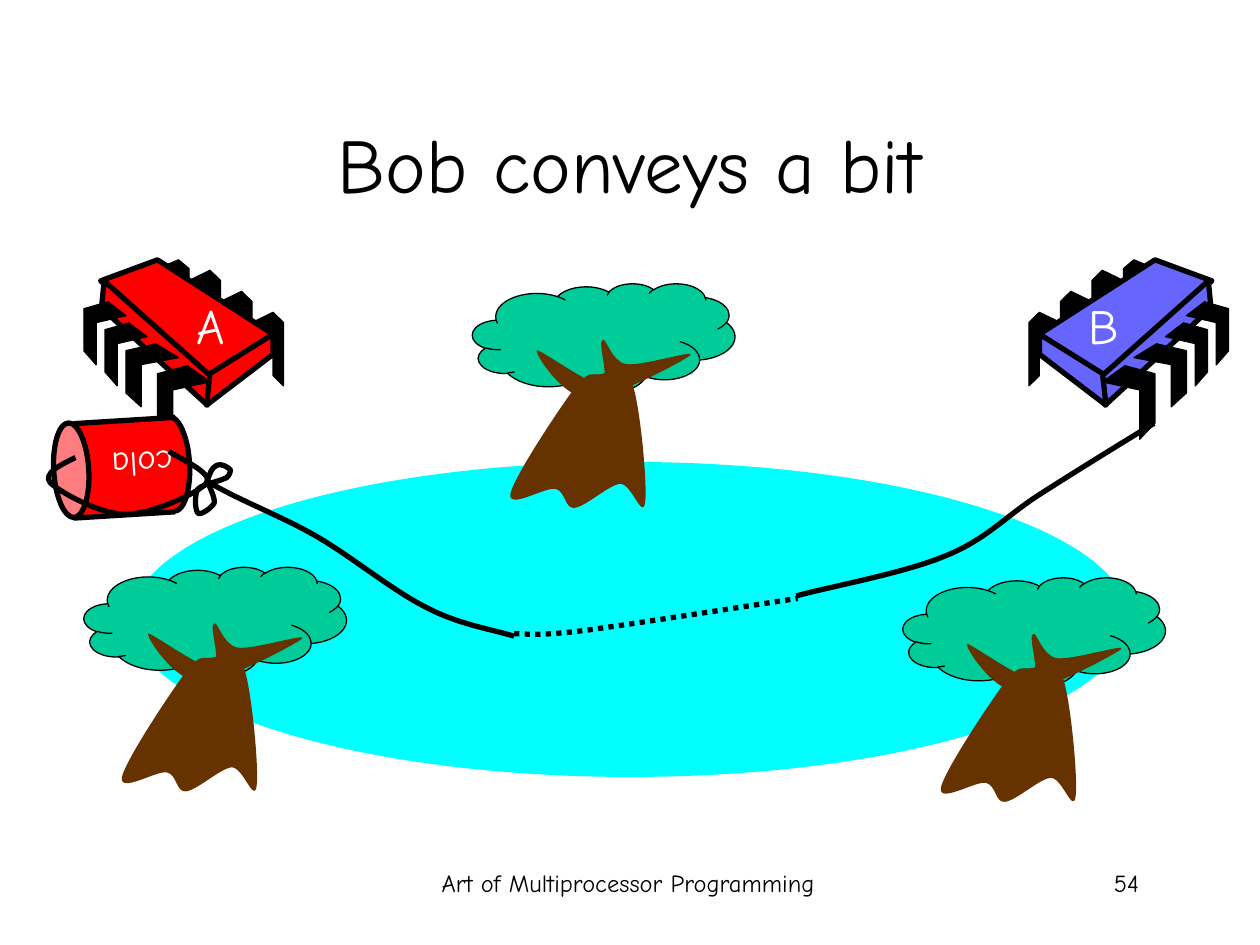
from lxml.etree import SubElement
from pptx import Presentation
from pptx.dml.color import RGBColor
from pptx.enum.dml import MSO_LINE
from pptx.enum.shapes import MSO_CONNECTOR, MSO_SHAPE
from pptx.enum.text import MSO_ANCHOR, MSO_AUTO_SIZE, PP_ALIGN
from pptx.oxml.ns import qn
from pptx.util import Pt

BLACK = RGBColor(0x00, 0x00, 0x00)
WHITE = RGBColor(0xFF, 0xFF, 0xFF)
RED = RGBColor(0xFF, 0x00, 0x00)
PINK = RGBColor(0xFF, 0x7C, 0x80)
BLUE = RGBColor(0x66, 0x66, 0xFF)
WATER = RGBColor(0x00, 0xFF, 0xFF)
LEAF = RGBColor(0x00, 0xCC, 0x99)
BARK = RGBColor(0x66, 0x33, 0x00)

FONT = "Comic Neue"
THIN, THICK = 0.75, 3

# Chip outlines: legs as fractions of their box, body faces in points
CHIP_W = 114
BACK_LEG = [(0, 0.14), (0.67, 0), (1, 0.14), (1, 1), (0.67, 0.86), (0.67, 0.29), (0, 0.43)]
BACK_LEG_BOXES = [(96, 30, 18, 42), (78, 18, 18, 42), (60, 6, 18, 42), (42, 0, 18, 36)]
FRONT_LEG = [(0.57, 0), (1, 0.22), (0.29, 0.33), (0.29, 1), (0, 0.78), (0, 0.11)]
FRONT_LEG_BOXES = [(42, 60.5, 30, 42), (24, 48, 30, 36), (12, 36, 24, 36), (0, 24, 24, 36)]
FACES = [
    [(42, 0), (108, 42.5), (70.5, 67), (9.5, 12)],
    [(11.5, 12), (72, 66), (70.5, 83), (10, 27.5)],
    [(108, 42.5), (108, 54), (70, 83), (72, 65)],
]

# Bezier chains: a start point, then three points for each curve
TRUNK = [
    (58.3, 59.8), (67, 49), (67.7, 52.6), (73.4, 51.8), (78.5, 51.1), (87.1, 45.4),
    (91.4, 57.6), (95.8, 69.8), (100.1, 115.9), (98.6, 125.3), (97.2, 135.4), (90.7, 113.8),
    (84.2, 114.5), (77.8, 115.2), (64.8, 127.4), (58.3, 128.2), (52.6, 128.9), (53.3, 118.8),
    (47.5, 117.4), (41.8, 115.9), (20.2, 129.6), (21.6, 120.2), (23.8, 110.2), (49.7, 71.3),
    (58.3, 59.8)]
BRANCHES = [
    (36.7, 38.2), (35.3, 39.6), (51.1, 64.8), (65.5, 65.5), (80.6, 66.2), (121, 43.9),
    (124.6, 41), (128.2, 37.4), (96.5, 47.5), (87.8, 46.1), (79.2, 44.6), (76.3, 30.2),
    (74.2, 32.4), (71.3, 33.8), (79.2, 56.2), (73.4, 57.6), (67, 58.3), (37.4, 36.7),
    (36.7, 38.2)]
BOW = [
    (94.3, 36.7), (94.3, 33.1), (97.2, 28.1), (99.4, 27.4), (101.5, 25.9), (106.6, 28.8),
    (107.3, 30.2), (106.6, 33.1), (105.8, 34.6), (103, 35.3), (100.1, 36.7), (91.4, 38.2),
    (88.6, 41), (86.4, 44.6), (87.1, 53.3), (88.6, 54.7), (90, 56.2), (96.5, 51.8),
    (97.9, 49), (98.6, 46.1), (95, 39.6), (94.3, 36.7)]
LOOP = [
    (18.7, 23), (9.4, 27.4), (0, 32.4), (4.3, 37.4), (9.4, 42.5), (32.4, 55.4), (47.5, 55.4),
    (61.9, 55.4), (89.3, 43.2), (93.6, 37.4), (97.9, 31.7), (75.6, 22.3), (72, 19.4)]
NEAR_STRING = [
    (0, 34), (19.7, 45.3), (39.8, 52.5), (60, 64), (80.2, 75.5), (104.6, 95.7),
    (123.4, 105), (142, 115), (163, 118), (173.8, 121.6)]
FAR_STRING = [
    (539.5, 0), (528.7, 6.4), (494.9, 27.3), (474.7, 40.2), (455.3, 52.5), (443.8, 66.2),
    (420.7, 75.5), (397, 85.6), (353, 93.5), (335, 98.6)]
SUNK_STRING = [
    (173.8, 120.2), (181, 120.2), (188.9, 121.6), (216.2, 118), (242.9, 114.4),
    (316.3, 102.9), (335.8, 100)]


def style(sp, fill, width):
    """Give a shape a flat fill and a black outline, either of which may be None."""
    sp.shadow.inherit = False
    if fill is None:
        sp.fill.background()
    else:
        sp.fill.solid()
        sp.fill.fore_color.rgb = fill
    if width is None:
        sp.line.fill.background()
    else:
        sp.line.color.rgb = BLACK
        sp.line.width = Pt(width)
    return sp


def add_preset(s, kind, box, fill, width=None, rotation=0):
    sp = s.shapes.add_shape(kind, *map(Pt, box))
    sp.rotation = rotation
    return style(sp, fill, width)


def add_outline(s, left, top, points, fill=None, width=None, close=True):
    pts = [(Pt(left + x), Pt(top + y)) for x, y in points]
    builder = s.shapes.build_freeform(*pts[0], scale=1.0)
    builder.add_line_segments(pts[1:], close=close)
    return style(builder.convert_to_shape(), fill, width)


def add_curve(s, left, top, chain, fill=None, width=None, close=True):
    """Draw a Bezier chain: each three line segments become one cubic curve."""
    sp = add_outline(s, left, top, chain, fill, width, close)
    segments = list(sp._element.iter(qn("a:lnTo")))[:len(chain) - 1]
    for i in range(0, len(segments), 3):
        first, *others = segments[i:i + 3]
        first.tag = qn("a:cubicBezTo")
        for segment in others:
            first.append(segment[0])
            segment.getparent().remove(segment)
    return sp


def add_text(s, box, text, size, color=BLACK, align=PP_ALIGN.RIGHT,
             anchor=MSO_ANCHOR.TOP, wrap=True, rotation=0):
    sp = s.shapes.add_textbox(*map(Pt, box))
    sp.rotation = rotation
    tf = sp.text_frame
    tf.word_wrap = wrap
    tf.auto_size = MSO_AUTO_SIZE.NONE if wrap else MSO_AUTO_SIZE.SHAPE_TO_FIT_TEXT
    tf.vertical_anchor = anchor
    p = tf.paragraphs[0]
    p.alignment = align
    r = p.add_run()
    r.text = text
    for name, value in {"name": FONT, "size": Pt(size)}.items():
        setattr(r.font, name, value)
    r.font.color.rgb = color


def add_chip(s, left, top, letter, color, mirrored=False):
    def place(points):
        return [(CHIP_W - x if mirrored else x, y) for x, y in points]

    def add_legs(outline, boxes):
        for x, y, w, h in boxes:
            leg = [(x + fx * w, y + fy * h) for fx, fy in outline]
            add_outline(s, left, top, place(leg), BLACK, THIN)

    add_legs(BACK_LEG, BACK_LEG_BOXES)
    for face in FACES:
        add_outline(s, left, top, place(face), color, THICK)
    add_legs(FRONT_LEG, FRONT_LEG_BOXES)
    letter_x = 27 if mirrored else 57
    add_text(s, (left + letter_x, top + 17, 30, 41), letter, 28, WHITE, wrap=False)


def add_tree(s, left, top):
    crown = add_preset(s, MSO_SHAPE.CLOUD_CALLOUT, (left, top, 150, 62.6), LEAF, THIN)
    crown.adjustments[0], crown.adjustments[1] = 0.018, 0.493
    for part in (TRUNK, BRANCHES):
        add_curve(s, left, top, part, BARK)


def add_can(s, left, top):
    tilt = 266.5
    # Body between its two ends
    for kind, x, y, h, fill, width in (
            (MSO_SHAPE.OVAL, 46.8, 16.6, 20, RED, THICK),
            (MSO_SHAPE.RECTANGLE, 18, 0, 57.6, RED, None),
            (MSO_SHAPE.OVAL, -10.8, 20.2, 20, PINK, THICK)):
        add_preset(s, kind, (left + x, top + y, 54, h), fill, width, tilt)
    # Long edges
    for y in (57.6, 3.6):
        edge = s.shapes.add_connector(MSO_CONNECTOR.STRAIGHT, Pt(left + 17.5), Pt(top + y),
                                      Pt(left + 75.6), Pt(top + y - 3.6))
        edge.line.color.rgb = BLACK
        edge.line.width = Pt(THICK)
        SubElement(edge._element.spPr, qn("a:effectLst"))
    add_text(s, (left + 32.3, top + 11.5, 52, 31.7), "cola", 20, WHITE,
             wrap=False, rotation=tilt - 90)
    # Knot around the can
    add_curve(s, left, top, BOW, width=THICK)
    add_curve(s, left, top, LOOP, width=THICK, close=False)


def add_string(s, left, top):
    for part in (NEAR_STRING, FAR_STRING, SUNK_STRING):
        sp = add_curve(s, left, top, part, width=THICK, close=False)
        if part is SUNK_STRING:
            sp.line.dash_style = MSO_LINE.ROUND_DOT


def add_headings(s):
    add_text(s, (245, 492.5, 228, 36), "Art of Multiprocessor Programming", 14,
             align=PP_ALIGN.CENTER)
    add_text(s, (508, 492.5, 150, 36), "54", 14)
    add_text(s, (54, 48, 612, 90), "Bob conveys a bit", 44,
             align=PP_ALIGN.CENTER, anchor=MSO_ANCHOR.MIDDLE)


def main():
    prs = Presentation()
    prs.slide_width, prs.slide_height = Pt(720), Pt(540)
    s = prs.slides.add_slide(prs.slide_layouts[6])
    add_headings(s)
    # Alice and Bob
    add_chip(s, 48, 148.5, "A", RED)
    add_chip(s, 588, 148.5, "B", BLUE, mirrored=True)
    # Pond and trees
    add_preset(s, MSO_SHAPE.OVAL, (75, 264, 570, 180), WATER)
    for left, top in ((270, 162), (516, 330), (48, 324)):
        add_tree(s, left, top)
    # Can on a string
    add_can(s, 24.5, 238.5)
    add_string(s, 120, 242)
    prs.save("out.pptx")


if __name__ == "__main__":
    main()
